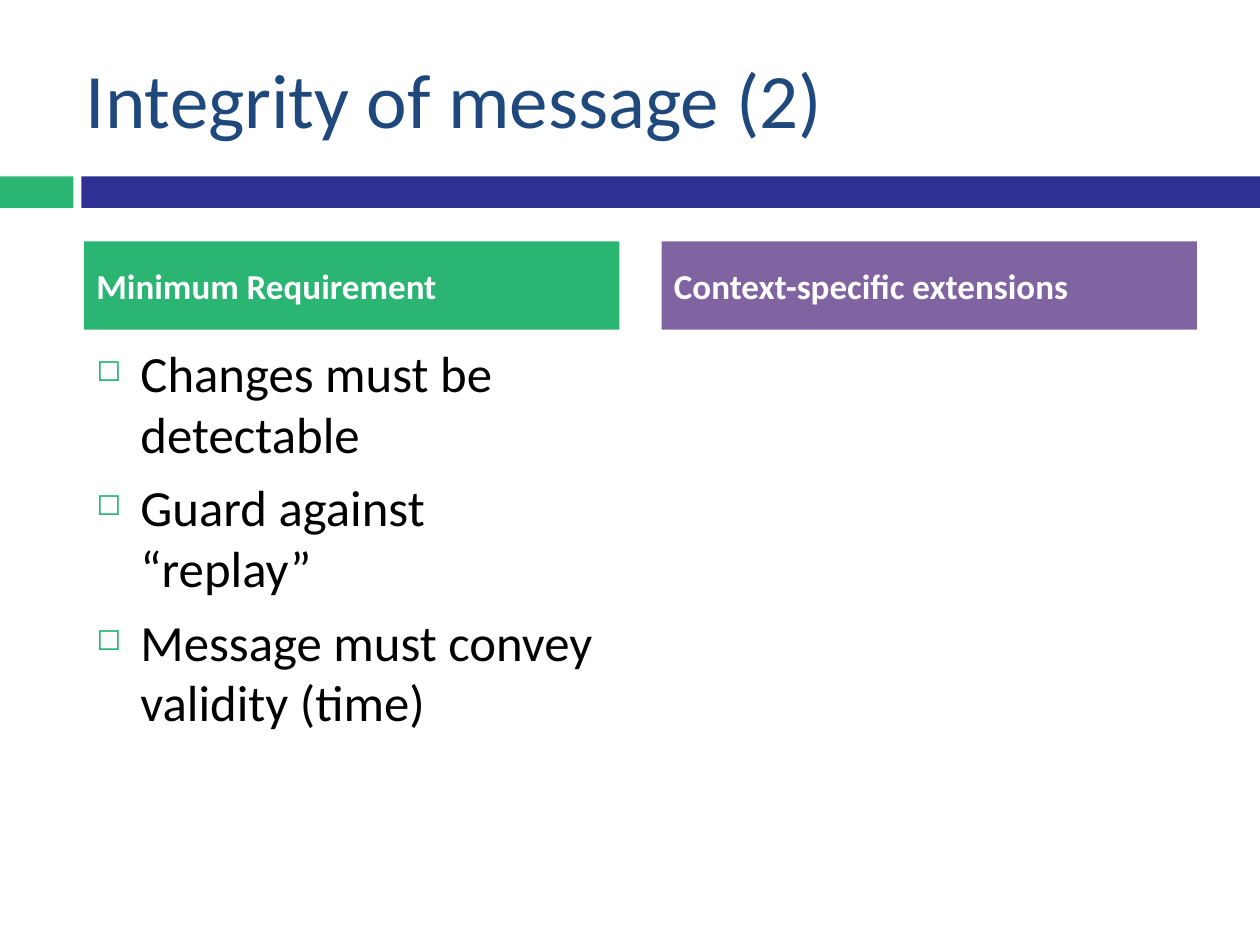
import pptx
import pptx.dml.color
import pptx.enum.shapes
import pptx.enum.text
import pptx.oxml
import pptx.oxml.ns
import pptx.util
from dataclasses import dataclass

Pt = pptx.util.Pt
Anchor = pptx.enum.text.MSO_ANCHOR


@dataclass(frozen=True)
class Theme:
    font: str = "Calibri"
    green: str = "2AB573"
    navy: str = "2E3092"
    purple: str = "8064A2"
    title: str = "1F497D"
    body: str = "000000"
    white: str = "FFFFFF"
    title_size: int = 44
    heading_size: int = 20
    body_size: int = 29


theme = Theme()


def add_block(page, left, top, width, height, color):
    block = page.shapes.add_shape(
        pptx.enum.shapes.MSO_SHAPE.RECTANGLE, Pt(left), Pt(top), Pt(width), Pt(height)
    )
    block.shadow.inherit = False
    block.fill.solid()
    block.fill.fore_color.rgb = pptx.dml.color.RGBColor.from_string(color)
    block.line.fill.background()
    return block


def write_text(box, lines, size, color, anchor, bold=False):
    frame = box.text_frame
    frame.word_wrap = True
    frame.vertical_anchor = anchor
    frame.text = "\n".join(lines)
    for para in frame.paragraphs:
        para.alignment = pptx.enum.text.PP_ALIGN.LEFT
        for span in para.runs:
            span.font.name = theme.font
            span.font.size = Pt(size)
            span.font.bold = bold
            span.font.color.rgb = pptx.dml.color.RGBColor.from_string(color)


deck = pptx.Presentation()
deck.slide_width = Pt(720)
deck.slide_height = Pt(540)
page = deck.slides.add_slide(deck.slide_layouts[6])

for left, width, color in ((0, 42, theme.green), (46.5, 673.5, theme.navy)):
    add_block(page, left, 100.8, width, 18, color)

title = page.shapes.add_textbox(Pt(42), Pt(21.6), Pt(642), Pt(68.4))
write_text(title, ["Integrity of message (2)"], theme.title_size, theme.title, Anchor.MIDDLE)

column_width = 306
headings = (
    (48, "Minimum Requirement", theme.green),
    (378, "Context-specific extensions", theme.purple),
)
for left, heading, color in headings:
    block = add_block(page, left, 138, column_width, 50.4, color)
    write_text(block, [heading], theme.heading_size, theme.white, Anchor.MIDDLE, bold=True)

requirements = [
    "Changes must be detectable",
    "Guard against “replay”",
    "Message must convey validity (time)",
]
body = page.shapes.add_textbox(Pt(48), Pt(192), Pt(column_width), Pt(282))
write_text(body, requirements, theme.body_size, theme.body, Anchor.TOP)
body.text_frame.margin_right = Pt(10)

namespace = pptx.oxml.ns.nsdecls("a")
bullet_parts = (
    f'<a:buClr {namespace}><a:srgbClr val="{theme.green}"/></a:buClr>',
    f'<a:buSzPct {namespace} val="60000"/>',
    f'<a:buChar {namespace} char="◻"/>',
)
for index, para in enumerate(body.text_frame.paragraphs):
    para.space_before = Pt(7 if index else 0)
    properties = para._p.get_or_add_pPr()
    properties.set("marL", str(Pt(25.2)))
    properties.set("indent", str(-Pt(25.2)))
    for part in bullet_parts:
        properties.append(pptx.oxml.parse_xml(part))

deck.save("out.pptx")
